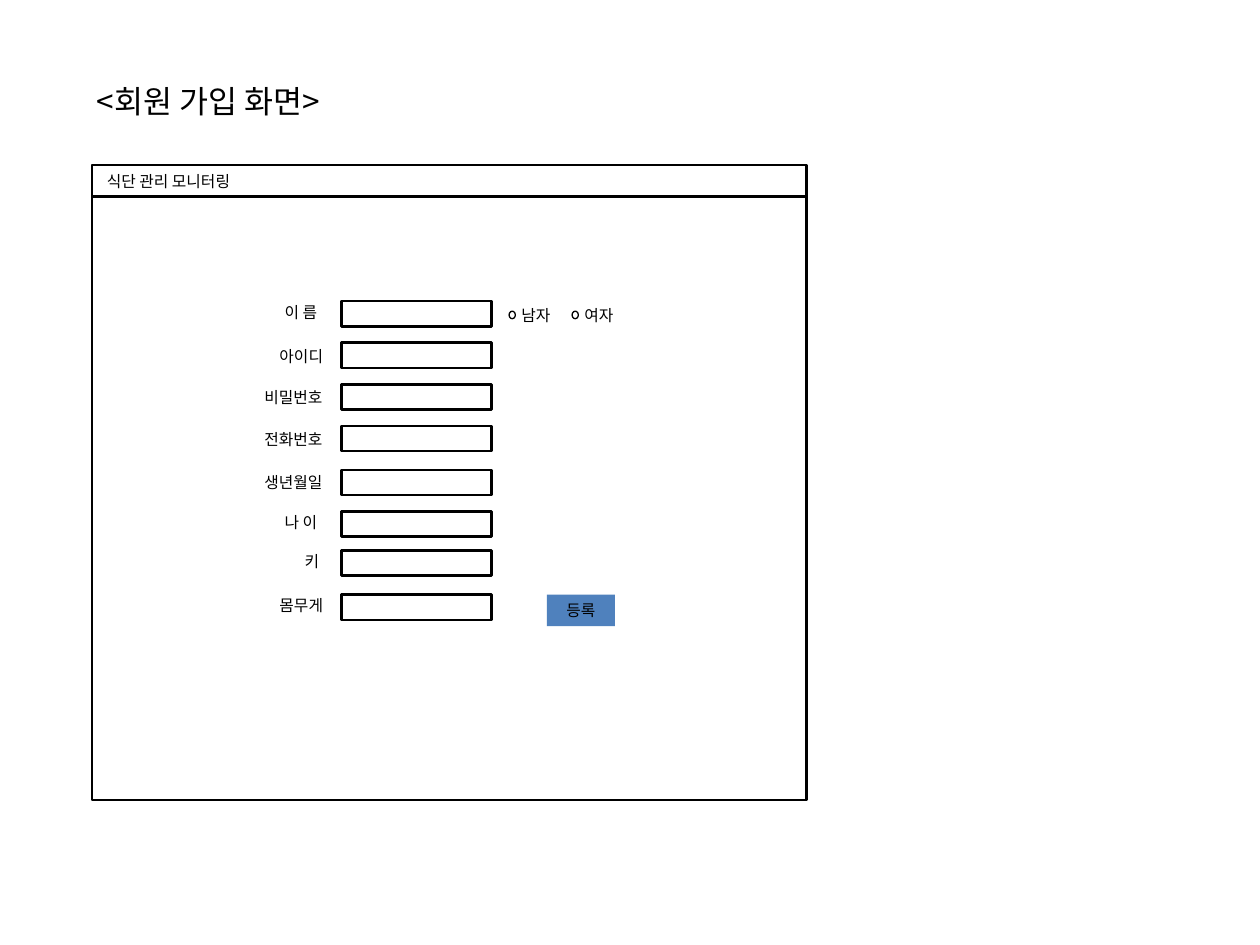
import pptx
import pptx.util
import pptx.dml.color
import pptx.enum.shapes
import pptx.enum.text
import pptx.oxml.ns
from lxml import etree

Inches = pptx.util.Inches
Pt = pptx.util.Pt
Shape = pptx.enum.shapes.MSO_SHAPE
Align = pptx.enum.text.PP_ALIGN
qn = pptx.oxml.ns.qn

BLACK = pptx.dml.color.RGBColor(0x00, 0x00, 0x00)
BLUE = pptx.dml.color.RGBColor(0x4F, 0x81, 0xBD)
FONT = "Noto Sans CJK KR"

FIELD_LEFT, FIELD_WIDTH, FIELD_HEIGHT = 2.71, 1.19, 0.2
TEXT_HEIGHT = 0.25

# Label, label left, label top, label width, field top
ROWS = [
    ("이 름", 2.16, 2.35, 0.55, 2.39),
    ("아이디", 2.12, 2.7, 0.63, 2.72),
    ("비밀번호", 2, 3.03, 0.79, 3.05),
    ("전화번호", 2, 3.36, 0.79, 3.38),
    ("생년월일", 2, 3.7, 0.79, 3.73),
    ("나 이", 2.16, 4.02, 0.55, 4.06),
    ("키", 2.32, 4.33, 0.39, 4.37),
    ("몸무게", 2.12, 4.68, 0.6, 4.72),
]


def write(shape, text, size=9, align=Align.LEFT):
    frame = shape.text_frame
    frame.word_wrap = True
    frame.auto_size = pptx.enum.text.MSO_AUTO_SIZE.SHAPE_TO_FIT_TEXT
    para = frame.paragraphs[0]
    para.text = text
    para.alignment = align
    font = para.font
    font.size = Pt(size)
    font.color.rgb = BLACK
    font.name = FONT
    # Korean letters take the East Asian typeface
    props = para._p.pPr.find(qn("a:defRPr"))
    etree.SubElement(props, qn("a:ea")).set("typeface", FONT)


def add_text(slide, text, left, top, width, height=TEXT_HEIGHT, size=9):
    box = slide.shapes.add_textbox(
        Inches(left), Inches(top), Inches(width), Inches(height))
    write(box, text, size)


def add_box(slide, left, top, width, height, line=1.5, kind=Shape.RECTANGLE):
    box = slide.shapes.add_shape(
        kind, Inches(left), Inches(top), Inches(width), Inches(height))
    box.shadow.inherit = False
    box.fill.background()
    box.line.color.rgb = BLACK
    box.line.width = Pt(line)


def add_rule(slide, left, right, top):
    rule = slide.shapes.add_connector(
        pptx.enum.shapes.MSO_CONNECTOR.STRAIGHT,
        Inches(left), Inches(top), Inches(right), Inches(top))
    rule.line.color.rgb = BLACK
    rule.line.width = Pt(1.25)
    etree.SubElement(rule._element.spPr, qn("a:effectLst"))


def add_button(slide, text, left, top, width, height):
    button = slide.shapes.add_shape(
        Shape.RECTANGLE, Inches(left), Inches(top),
        Inches(width), Inches(height))
    button.shadow.inherit = False
    button.fill.solid()
    button.fill.fore_color.rgb = BLUE
    button.line.fill.background()
    write(button, text, align=Align.CENTER)


def add_radio(slide, text, left):
    add_box(slide, left, 2.47, 0.05, 0.06, 0.75, Shape.OVAL)
    add_text(slide, text, left, 2.38, 0.55)


def main():
    deck = pptx.Presentation()
    deck.slide_width = Inches(10)
    deck.slide_height = Inches(7.5)
    slide = deck.slides.add_slide(deck.slide_layouts[6])

    # Window frame and headings
    add_box(slide, 0.73, 1.31, 5.67, 5.04)
    add_rule(slide, 0.73, 6.4, 1.56)
    add_text(slide, "식단 관리 모니터링", 0.75, 1.31, 2.6)
    add_text(slide, "<회원 가입 화면>", 0.67, 0.6, 3.94, 0.4, 18)

    # Form rows
    for label, left, top, width, field in ROWS:
        add_text(slide, label, left, top, width)
        add_box(slide, FIELD_LEFT, field, FIELD_WIDTH, FIELD_HEIGHT)

    # Gender choice and submit button
    add_radio(slide, "남자", 4.04)
    add_radio(slide, "여자", 4.54)
    add_button(slide, "등록", 4.34, 4.72, 0.54, TEXT_HEIGHT)

    deck.save("out.pptx")


if __name__ == "__main__":
    main()
